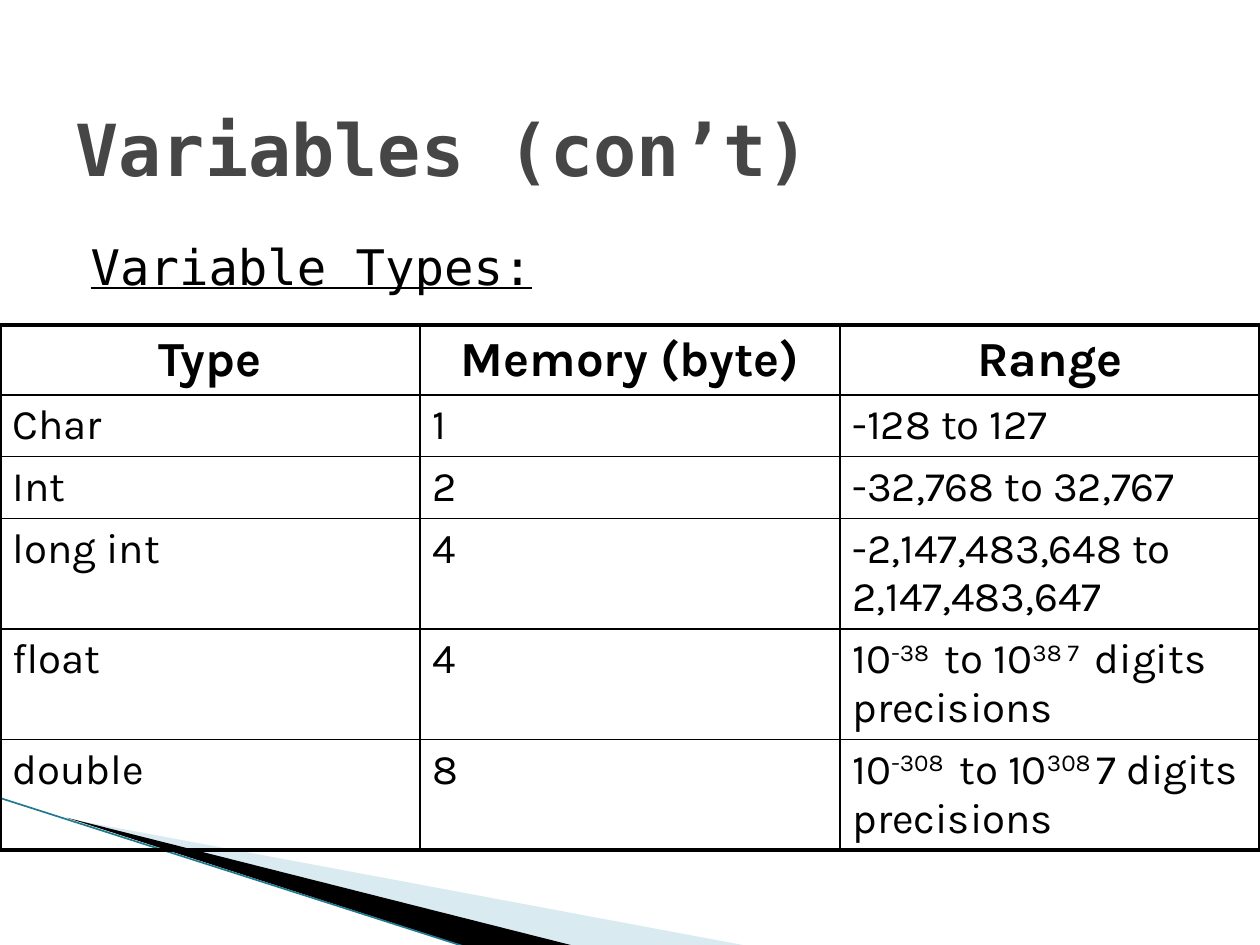
from lxml import etree
from pptx import Presentation
from pptx import util as u
from pptx.dml.color import RGBColor
from pptx.enum import text
from pptx.oxml import ns

MONO, SANS = "DejaVu Sans Mono", "Karla"
HEADER = ["Type", "Memory (byte)", "Range"]
TYPES = [
    ("Char", "1", ["-128 to 127"]),
    ("Int", "2", ["-32,768 to 32,767"]),
    ("long int", "4", ["-2,147,483,648 to 2,147,483,647"]),
    ("float", "4", ["10", "-38 ", " to 10", "38 7 ", " digits precisions"]),
    ("double", "8", ["10", "-308 ", " to 10", "308 ", "7 digits precisions"]),
]


def rgb(value):
    """Turn a hex string into a colour."""
    return RGBColor.from_string(value)


def add_span(para, words, size, font, color="000000", bold=False,
             underline=False, raised=False):
    """Append one formatted run to a paragraph."""
    span = para.add_run()
    span.text = words
    span.font.size = u.Pt(size)
    span.font.name = font
    span.font.bold = bold
    span.font.underline = underline
    span.font.color.rgb = rgb(color)
    if raised:
        span.font._element.set("baseline", "30000")


def place(box, left, top, width, height):
    """Set the frame of a shape in inches."""
    box.left, box.top = u.Inches(left), u.Inches(top)
    box.width, box.height = u.Inches(width), u.Inches(height)


def fill_placeholder(box, words, frame, anchor, **style):
    """Move a placeholder and give it one left-aligned paragraph."""
    place(box, *frame)
    body = box.text_frame
    body.word_wrap = True
    body.auto_size = text.MSO_AUTO_SIZE.NONE
    body.vertical_anchor = anchor
    para = body.paragraphs[0]
    para.alignment = text.PP_ALIGN.LEFT
    add_span(para, words, **style)
    return para


def indent_without_bullet(para, margin, first_line):
    """Set a hanging indent and drop the bullet."""
    properties = para._p.get_or_add_pPr()
    properties.set("marL", str(u.Inches(margin)))
    properties.set("indent", str(u.Inches(first_line)))
    etree.SubElement(properties, ns.qn("a:buNone"))


def add_wedge(page, points, frame, color, opacity=100):
    """Draw a filled outline whose points may reach beyond its frame."""
    corners = [(u.Inches(x), u.Inches(y)) for x, y in points]
    builder = page.shapes.build_freeform(*corners[0])
    builder.add_line_segments(corners[1:], close=True)
    wedge = builder.convert_to_shape()
    shift = {"x": wedge.left, "y": wedge.top}
    place(wedge, *frame)
    outline = wedge._element.spPr.find(".//" + ns.qn("a:path"))
    outline.set("w", str(wedge.width))
    outline.set("h", str(wedge.height))
    for point in outline.iter(ns.qn("a:pt")):
        for axis, edge in (("x", wedge.left), ("y", wedge.top)):
            point.set(axis, str(int(point.get(axis)) + shift[axis] - edge))
    wedge.shadow.inherit = False
    wedge.line.fill.background()
    wedge.fill.solid()
    wedge.fill.fore_color.rgb = rgb(color)
    if opacity < 100:
        tint = wedge._element.spPr.find(".//" + ns.qn("a:srgbClr"))
        etree.SubElement(tint, ns.qn("a:alpha")).set("val", str(opacity * 1000))


def add_line(page, start, end, color, width):
    """Draw a straight line between two points in inches."""
    ends = [u.Inches(value) for value in (*start, *end)]
    line = page.shapes.add_connector(1, *ends)
    line.line.color.rgb = rgb(color)
    line.line.width = u.Pt(width)
    etree.SubElement(line._element.spPr, ns.qn("a:effectLst"))


def set_borders(cell, widths):
    """Give a cell black borders, in the order left, right, top, bottom."""
    properties = cell._tc.get_or_add_tcPr()
    for position, (side, width) in enumerate(zip("LRTB", widths)):
        border = etree.Element(ns.qn(f"a:ln{side}"), w=str(u.Pt(width)))
        solid = etree.SubElement(border, ns.qn("a:solidFill"))
        etree.SubElement(solid, ns.qn("a:srgbClr")).set("val", "000000")
        properties.insert(position, border)


def add_type_table(page):
    """Add the table of types with thick outer and thin inner borders."""
    rows, columns = len(TYPES) + 1, len(HEADER)
    holder = page.shapes.add_table(rows, columns, 0, 0, u.Inches(10), 0)
    table = holder.table
    table.first_row = table.horz_banding = False
    for row in table.rows:
        row.height = u.Inches(0.46)
    place(holder, 0, 2.58, 10, 4.27)
    for r, record in enumerate([HEADER, *TYPES]):
        for c, content in enumerate(record):
            cell = table.cell(r, c)
            cell.fill.background()
            outer = (c == 0, c == columns - 1, r == 0, r == rows - 1)
            set_borders(cell, [2.25 if edge else 1 for edge in outer])
            para = cell.text_frame.paragraphs[0]
            if r == 0:
                cell.vertical_anchor = text.MSO_ANCHOR.MIDDLE
                para.alignment = text.PP_ALIGN.CENTER
            parts = [content] if isinstance(content, str) else content
            for i, words in enumerate(parts):
                add_span(para, words, 24 if r else 28, SANS,
                         bold=r == 0, raised=i % 2 == 1)


def main():
    """Build the slide and save it."""
    deck = Presentation()
    deck.slide_width, deck.slide_height = u.Inches(10), u.Inches(7.5)
    page = deck.slides.add_slide(deck.slide_layouts[1])
    title, body = page.placeholders
    fill_placeholder(title, "Variables (con’t)", (0.5, 0.42, 9, 1.5),
                     text.MSO_ANCHOR.MIDDLE, size=41, font=MONO,
                     color="464646", bold=True)
    para = fill_placeholder(body, "Variable Types:", (0.5, 1.83, 4.42, 0.75),
                            text.MSO_ANCHOR.TOP, size=28, font=MONO,
                            underline=True)
    para.space_before = u.Pt(4)
    indent_without_bullet(para, 0.4, -0.28)
    add_wedge(page, [(0.55, 6.5), (5.95, 7.51), (4.56, 7.51)],
              (0.78, 5.47, 4.16, 1.58), "A0CBDC", 40)
    add_wedge(page, [(0.53, 6.49), (4.57, 7.51), (3.72, 7.52)],
              (-0.06, 6.33, 4.16, 0.92), "000000")
    add_line(page, (-0.01, 6.33), (3.71, 7.52), "1F7A90", 0.95)
    add_type_table(page)
    deck.save("out.pptx")


if __name__ == "__main__":
    main()
